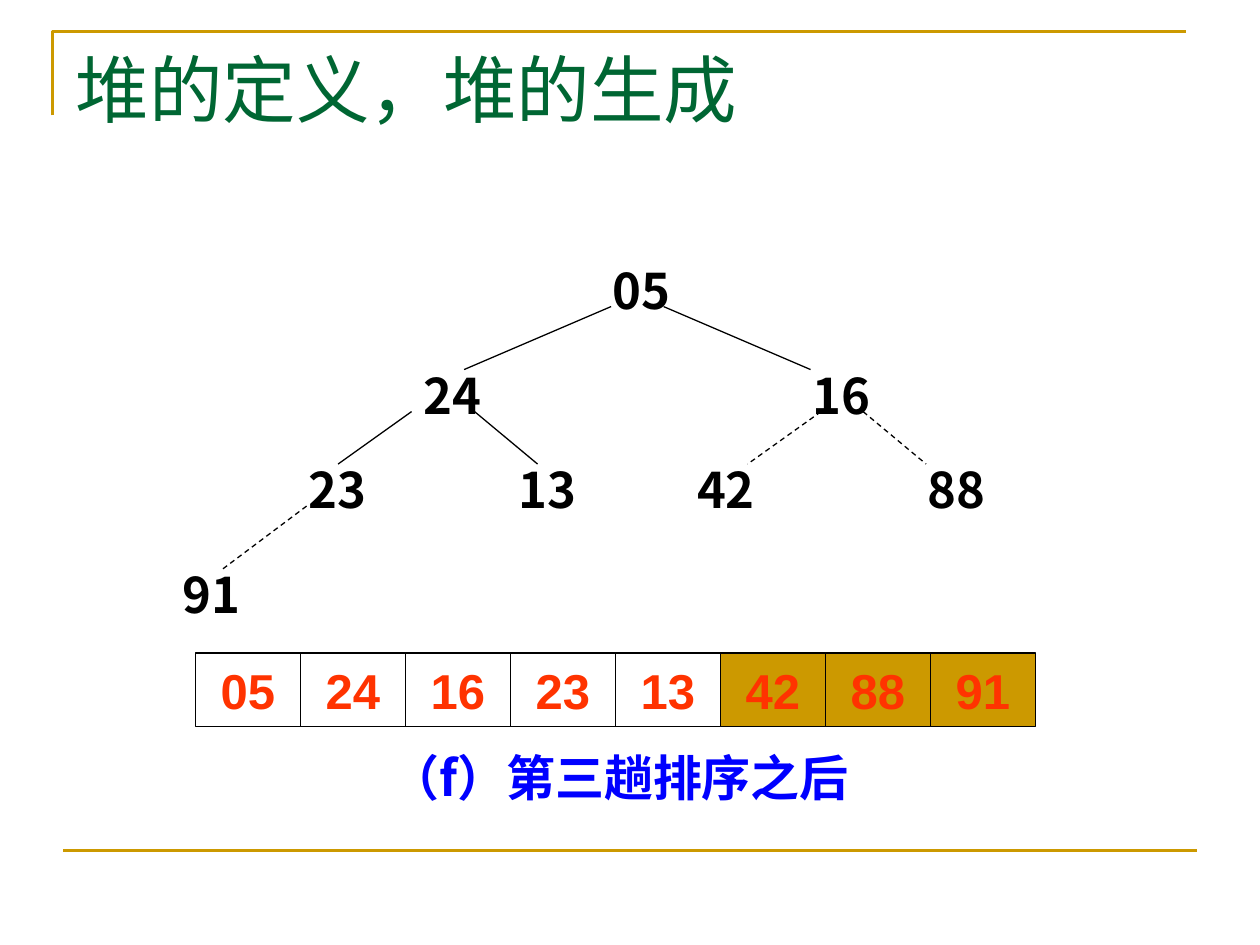
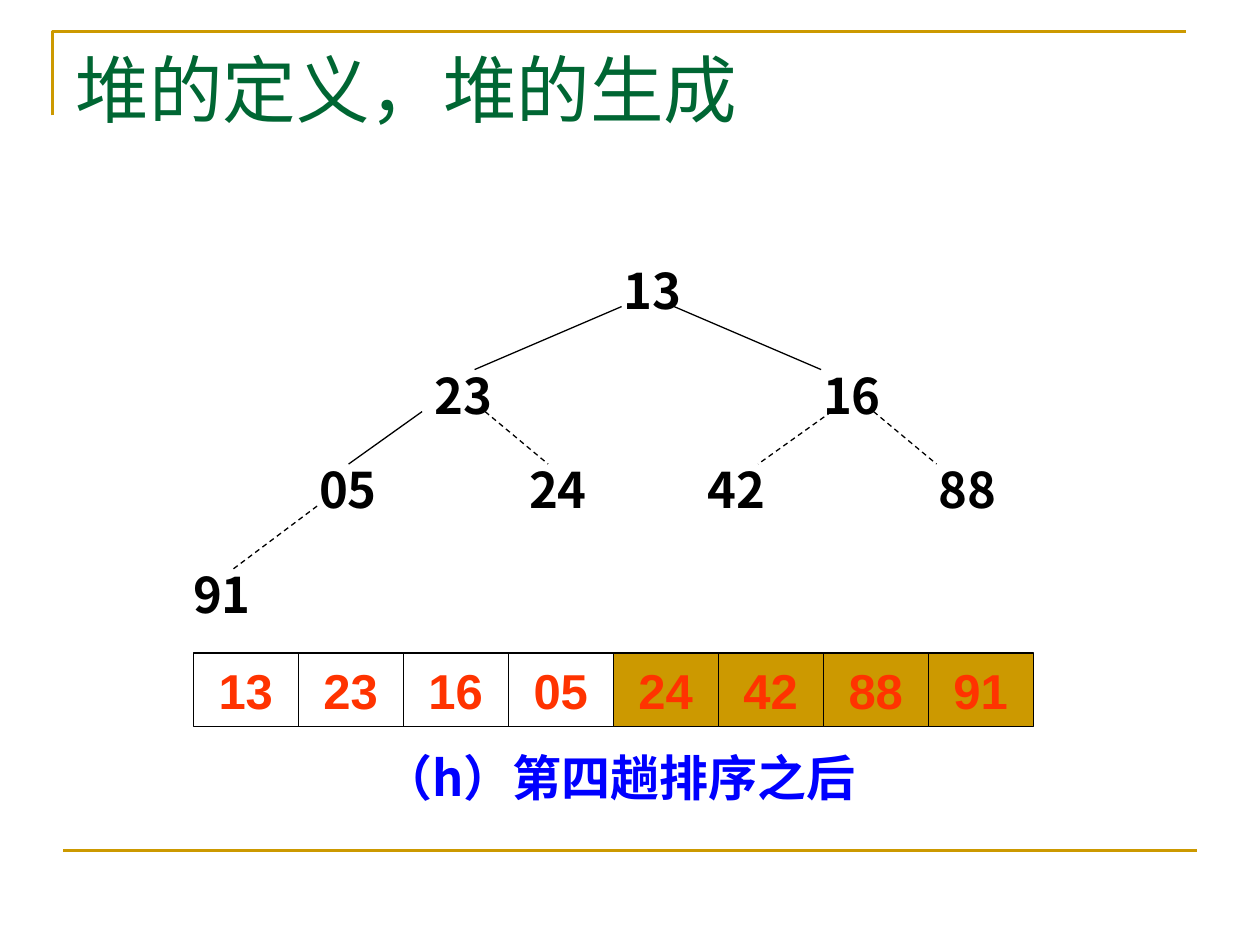
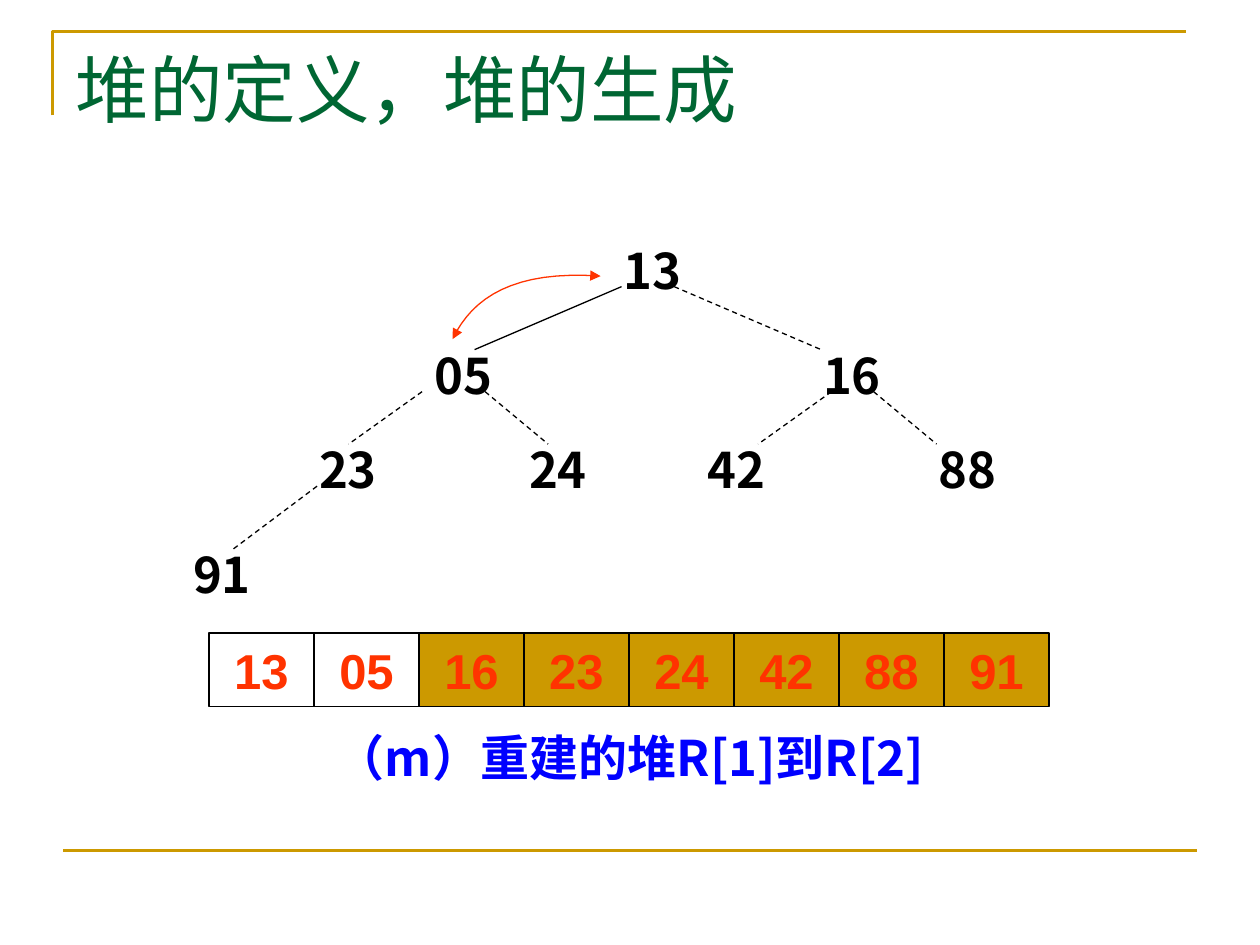
from lxml import etree
from pptx import Presentation
from pptx import util as u
from pptx.dml.color import RGBColor
from pptx.enum import dml, shapes, text
from pptx.oxml.ns import qn

GOLD = RGBColor(0xCC, 0x99, 0x00)
GREEN = RGBColor(0x00, 0x66, 0x33)
BLUE = RGBColor(0x00, 0x00, 0xFF)
RED = RGBColor(0xFF, 0x33, 0x00)
BLACK = RGBColor(0x00, 0x00, 0x00)
HAN_FONT = "Noto Sans CJK SC"
TITLE = "堆的定义，堆的生成"

# The slide is a grid of 120 columns by 90 rows
UNIT = u.Inches(1) / 12

# Heap nodes in array order: column, row, then the edge from the parent
# (all counted from the top left corner of the tree)
NODES = [
    (41, 0, None),
    (23, 10, (42, 5, 28, 11)),
    (60, 10, (47, 5, 61, 11)),
    (12, 19, (23, 15, 16, 20)),
    (32, 19, (29, 15, 35, 20)),
    (49, 19, (62, 15, 55, 20)),
    (71, 19, (66, 15, 72, 20)),
    (0, 29, (13, 24, 5, 30)),
]
NODE_SIZE = (8, 6.8)
CELL_SIZE = (10, 7)
CELL_ROW = 38
CAPTION_ROW = 46.4
CAPTION_SIZE = (69, 6.8)

# Caption, array, heap size, tree corner, array column, caption column, swap arrow
STEPS = [
    ("（f）第三趟排序之后", "05 24 16 23 13 42 88 91", 5, (16.2, 24.2), 18.6, 24.5, False),
    ("（h）第四趟排序之后", "13 23 16 05 24 42 88 91", 4, (17.2, 24.2), 18.4, 24.5, False),
    ("（m）重建的堆R[1]到R[2]", "13 05 16 23 24 42 88 91", 2, (17.2, 22.3), 19.9, 25.5, True),
]
SWAP_CURVE = [(25.9, 10), (27.8, 6), (31.8, 3.4), (40, 4)]
CURVE_STEPS = 16


def write(shape, words, size, font_name, colour, bold=True, align=text.PP_ALIGN.LEFT, wrap=False):
    frame = shape.text_frame
    frame.word_wrap = wrap
    frame.auto_size = text.MSO_AUTO_SIZE.NONE
    paragraph = frame.paragraphs[0]
    paragraph.alignment = align
    run = paragraph.add_run()
    run.text = words
    run.font.size = u.Pt(size)
    run.font.bold = bold
    run.font.name = font_name
    run.font.color.rgb = colour
    east_asian = etree.SubElement(run.font._element, qn("a:ea"))
    east_asian.set("typeface", HAN_FONT)


def draw_line(slide, ends, colour, width, dashed=False):
    line = slide.shapes.add_connector(
        shapes.MSO_CONNECTOR.STRAIGHT, *[round(end * UNIT) for end in ends])
    line.line.color.rgb = colour
    line.line.width = u.Pt(width)
    if dashed:
        line.line.dash_style = dml.MSO_LINE.DASH
    etree.SubElement(line.element.spPr, qn("a:effectLst"))
    return line


presentation = Presentation()
presentation.slide_width = round(120 * UNIT)
presentation.slide_height = round(90 * UNIT)
layout = presentation.slide_layouts[5]
slides = [presentation.slides.add_slide(layout) for step in STEPS]

# Shared title place
title = layout.placeholders[0]
title.left, title.top, title.width, title.height = [
    round(length * UNIT) for length in (6, 3.6, 108, 15)]

# Shared gold corner and bottom rule, moved into the layout
builder = slides[0].shapes.build_freeform(5, 11, scale=UNIT)
builder.add_line_segments([(5, 3), (113, 3)], close=False)
corner = builder.convert_to_shape()
corner.shadow.inherit = False
corner.fill.background()
corner.line.color.rgb = GOLD
corner.line.width = u.Pt(1.5)
bottom_rule = draw_line(slides[0], (6, 81, 114, 81), GOLD, 1.5)
for band in (corner, bottom_rule):
    layout.element.cSld.spTree.append(band.element)

for slide, step in zip(slides, STEPS):
    caption, values, heap_size, corner_place, array_column, caption_column, has_swap = step
    values = values.split()
    tree_column, tree_row = corner_place

    # Title
    write(slide.shapes.title, TITLE, 42, "Times New Roman", GREEN, bold=False, wrap=True)
    slide.shapes.title.text_frame.vertical_anchor = text.MSO_ANCHOR.TOP

    # Caption
    place = (caption_column, tree_row + CAPTION_ROW, *CAPTION_SIZE)
    box = slide.shapes.add_textbox(*[round(length * UNIT) for length in place])
    write(box, caption, 28, HAN_FONT, BLUE, align=text.PP_ALIGN.CENTER, wrap=True)

    for index, (value, (column, row, edge)) in enumerate(zip(values, NODES)):
        is_sorted = index >= heap_size

        # Tree node, with a dashed edge once it has left the heap
        place = (tree_column + column, tree_row + row, *NODE_SIZE)
        node = slide.shapes.add_textbox(*[round(length * UNIT) for length in place])
        write(node, value, 28, HAN_FONT, BLACK)
        if edge:
            x1, y1, x2, y2 = edge
            ends = (tree_column + x1, tree_row + y1, tree_column + x2, tree_row + y2)
            draw_line(slide, ends, BLACK, 0.75, dashed=is_sorted)

        # Array cell, gold once it is sorted
        place = (array_column + index * CELL_SIZE[0], tree_row + CELL_ROW, *CELL_SIZE)
        cell = slide.shapes.add_shape(
            shapes.MSO_SHAPE.RECTANGLE, *[round(length * UNIT) for length in place])
        cell.shadow.inherit = False
        cell.line.color.rgb = BLACK
        cell.line.width = u.Pt(0.75)
        if is_sorted:
            cell.fill.solid()
            cell.fill.fore_color.rgb = GOLD
        else:
            cell.fill.background()
        write(cell, value, 28, "Arial", RED, align=text.PP_ALIGN.CENTER)
        cell.text_frame.vertical_anchor = text.MSO_ANCHOR.MIDDLE

    # Curved arrow between the two nodes to swap
    if has_swap:
        points = []
        for number in range(CURVE_STEPS + 1):
            t = number / CURVE_STEPS
            weights = ((1 - t) ** 3, 3 * t * (1 - t) ** 2, 3 * t ** 2 * (1 - t), t ** 3)
            x = sum(weight * point[0] for weight, point in zip(weights, SWAP_CURVE))
            y = sum(weight * point[1] for weight, point in zip(weights, SWAP_CURVE))
            points.append((round((tree_column + x) * UNIT), round((tree_row + y) * UNIT)))
        builder = slide.shapes.build_freeform(*points[0])
        builder.add_line_segments(points[1:], close=False)
        swap = builder.convert_to_shape()
        swap.shadow.inherit = False
        swap.fill.background()
        swap.line.color.rgb = RED
        swap.line.width = u.Pt(0.75)
        for end in ("a:headEnd", "a:tailEnd"):
            arrowhead = etree.SubElement(swap.line._get_or_add_ln(), qn(end))
            arrowhead.set("type", "triangle")

presentation.save("out.pptx")
